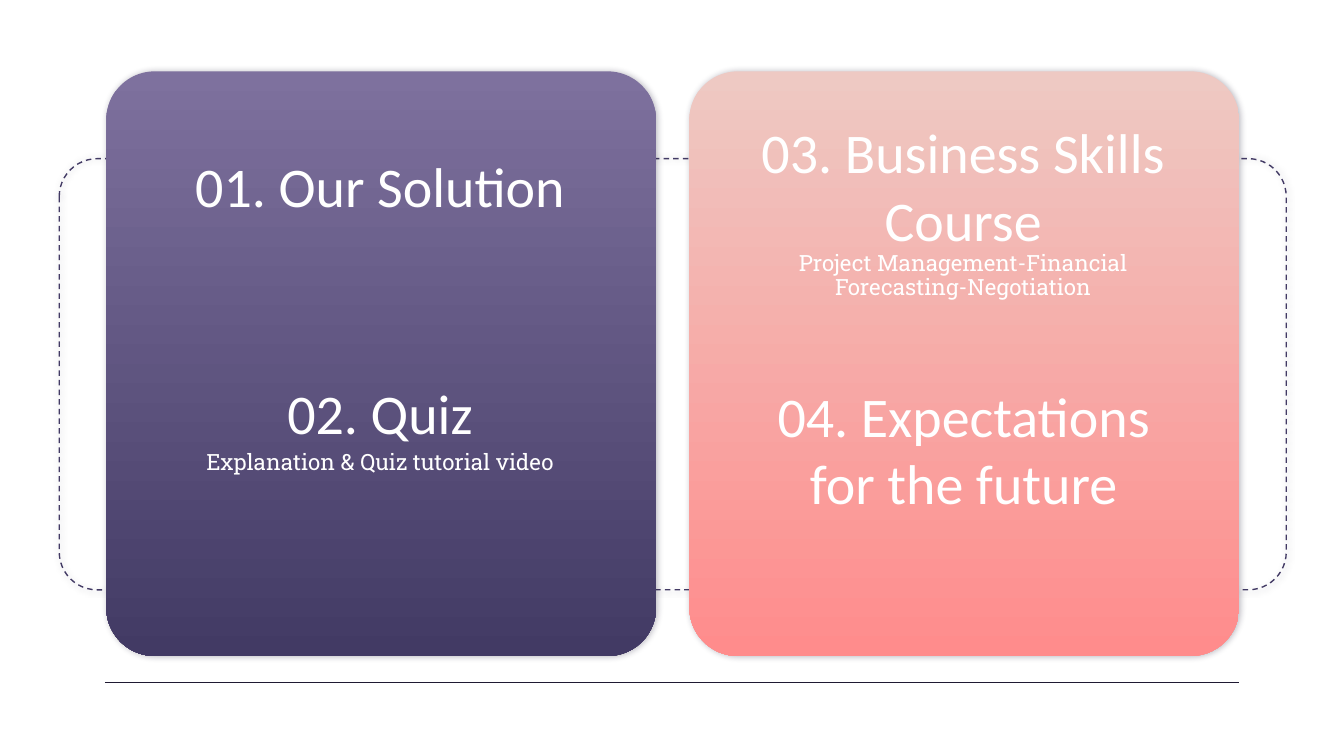
from typing import NamedTuple

from lxml.etree import SubElement
from pptx import Presentation
from pptx.dml.color import RGBColor
from pptx.enum.dml import MSO_LINE
from pptx.enum.shapes import MSO_CONNECTOR, MSO_SHAPE
from pptx.enum.text import MSO_ANCHOR, MSO_AUTO_SIZE, PP_ALIGN
from pptx.oxml.ns import qn
from pptx.util import Cm, Pt

WHITE = RGBColor(0xFF, 0xFF, 0xFF)
INK = RGBColor(0x1F, 0x1A, 0x33)
PURPLE = RGBColor(0x42, 0x3A, 0x64)
LILAC = RGBColor(0x7E, 0x71, 0x9E)
BLUSH = RGBColor(0xEE, 0xC9, 0xC3)
CORAL = RGBColor(0xFF, 0x8C, 0x8C)


class Box(NamedTuple):
    """Left, top, width and height in centimetres."""
    left: float
    top: float
    width: float
    height: float


class Panel(NamedTuple):
    box: Box
    upper: RGBColor
    lower: RGBColor


class Style(NamedTuple):
    font: str
    size: int
    anchor: MSO_ANCHOR
    spacing: float


class Label(NamedTuple):
    text: str
    box: Box
    style: Style


HEAD = Style("Calibri", 30, MSO_ANCHOR.MIDDLE, 1.0)
NOTE = Style("Roboto Slab", 12, MSO_ANCHOR.TOP, 0.9)

FRAME = Box(1.12, 3, 23.19, 8.15)
PANELS = [
    Panel(Box(13.03, 1.35, 10.39, 11.05), BLUSH, CORAL),
    Panel(Box(2.01, 1.35, 10.39, 11.05), LILAC, PURPLE),
]
HEADS = [
    Label("01. Our Solution", Box(2.92, 3, 8.53, 1), HEAD),
    Label("02. Quiz", Box(2.92, 7.29, 8.53, 1), HEAD),
    Label("03. Business Skills Course", Box(13.94, 3, 8.53, 1), HEAD),
    Label("04. Expectations for the future", Box(13.77, 7.98, 8.89, 1), HEAD),
]
NOTES = [
    Label("Explanation & Quiz tutorial video", Box(2.92, 8.28, 8.53, 1.6), NOTE),
    Label("Project Management-Financial Forecasting-Negotiation",
          Box(13.94, 4.52, 8.53, 1.6), NOTE),
]


def add_round(slide, box: Box):
    """Add a rounded rectangle with a soft shadow."""
    shape = slide.shapes.add_shape(MSO_SHAPE.ROUNDED_RECTANGLE, *map(Cm, box))
    shape.adjustments[0] = 0.088
    shape.shadow.inherit = False
    effects = shape._element.spPr.find(qn("a:effectLst"))
    shadow = SubElement(effects, qn("a:outerShdw"), blurRad=str(Pt(3.4)),
                        dist=str(Pt(0.8)), dir=str(9 * 60000), rotWithShape="0")
    color = SubElement(shadow, qn("a:srgbClr"), val=str(INK))
    SubElement(color, qn("a:alpha"), val="30000")
    return shape


def add_frame(slide, box: Box) -> None:
    shape = add_round(slide, box)
    shape.fill.background()
    shape.line.color.rgb = PURPLE
    shape.line.width = Pt(0.75)
    shape.line.dash_style = MSO_LINE.DASH


def add_panel(slide, panel: Panel) -> None:
    shape = add_round(slide, panel.box)
    shape.line.fill.background()
    shape.fill.gradient()
    shape.fill.gradient_angle = 270
    for stop, color, place in zip(shape.fill.gradient_stops,
                                  (panel.upper, panel.lower), (0, 1)):
        stop.color.rgb = color
        stop.position = place


def add_rule(slide) -> None:
    rule = slide.shapes.add_connector(MSO_CONNECTOR.STRAIGHT, Cm(1.98), Cm(12.9),
                                      Cm(23.42), Cm(12.9))
    rule.line.color.rgb = INK
    rule.line.width = Pt(0.75)
    SubElement(rule._element.spPr, qn("a:effectLst"))


def add_label(slide, label: Label, holder=None) -> None:
    """Write a label on top of the slide, in the placeholder if one is given."""
    shape = holder or slide.shapes.add_textbox(0, 0, 0, 0)
    shape.left, shape.top, shape.width, shape.height = map(Cm, label.box)
    slide.shapes._spTree.append(shape._element)
    frame, style = shape.text_frame, label.style
    frame.text = label.text
    frame.word_wrap = True
    frame.auto_size = MSO_AUTO_SIZE.NONE
    frame.vertical_anchor = style.anchor
    frame.margin_left = frame.margin_right = Cm(0.25)
    frame.margin_top = frame.margin_bottom = Cm(0.25)
    para = frame.paragraphs[0]
    para.alignment = PP_ALIGN.CENTER
    para.space_before = Pt(0)
    para.line_spacing = style.spacing
    para.font.name = style.font
    para.font.size = Pt(style.size)
    para.font.color.rgb = WHITE


def main() -> None:
    deck = Presentation()
    deck.slide_width, deck.slide_height = Cm(25.4), Cm(14.29)
    slide = deck.slides.add_slide(deck.slide_layouts[0])
    title, body = slide.placeholders
    add_rule(slide)
    add_frame(slide, FRAME)
    for panel in PANELS:
        add_panel(slide, panel)
    for labels, first in ((HEADS, title), (NOTES, body)):
        add_label(slide, labels[0], first)
        for label in labels[1:]:
            add_label(slide, label)
    deck.save("out.pptx")


if __name__ == "__main__":
    main()
